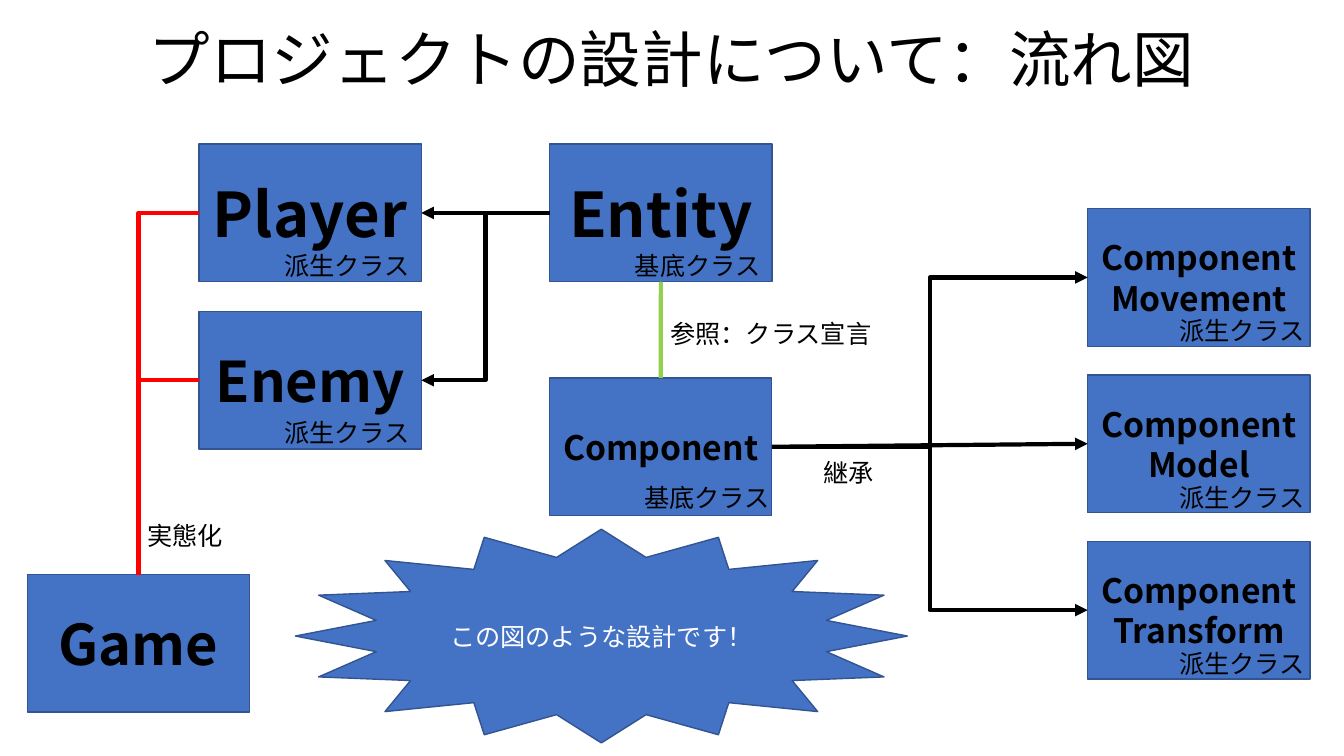
from collections import namedtuple

from lxml import etree
from pptx import Presentation
from pptx.dml.color import RGBColor
from pptx.enum.shapes import MSO_CONNECTOR, MSO_SHAPE
from pptx.enum.text import MSO_ANCHOR, PP_ALIGN
from pptx.oxml.ns import qn
from pptx.util import Inches, Pt

RECTANGLE, STAR = MSO_SHAPE.RECTANGLE, MSO_SHAPE.STAR_16_POINT
STRAIGHT, ELBOW = MSO_CONNECTOR.STRAIGHT, MSO_CONNECTOR.ELBOW
LEFT_ALIGN, CENTER = PP_ALIGN.LEFT, PP_ALIGN.CENTER
MIDDLE, UPPER = MSO_ANCHOR.MIDDLE, MSO_ANCHOR.TOP
TOP, LEFT, BOTTOM, RIGHT = range(4)

BLUE = RGBColor(0x44, 0x72, 0xC4)
NAVY = RGBColor(0x32, 0x54, 0x91)
BLACK = RGBColor(0, 0, 0)
WHITE = RGBColor(255, 255, 255)
RED = RGBColor(255, 0, 0)
GREEN = RGBColor(0x92, 0xD0, 0x50)

FONT = "Noto Sans CJK JP"
SLIDE_WIDTH, SLIDE_HEIGHT = Inches(13.33), Inches(7.5)
COLUMN, ROW = SLIDE_WIDTH / 100, SLIDE_HEIGHT / 100
CLASS_WIDTH, CLASS_HEIGHT = 16.55, 18.2
TAG_WIDTH, LABEL_HEIGHT = 10.95, 5.33
CLASS_PITCH = 22

Box = namedtuple("Box", "left top width height")


def inside(box, across, down, width, height):
    """Return a box offset from the corner of another, in columns and rows."""
    return Box(box.left + across, box.top + down, width, height)


def to_emu(box):
    """Convert grid columns and rows to slide lengths."""
    return (round(box.left * COLUMN), round(box.top * ROW),
            round(box.width * COLUMN), round(box.height * ROW))


def write_text(shape, paragraphs, size, color, bold=False,
               align=CENTER, anchor=MIDDLE, wrap=True):
    """Fill a shape with paragraphs, each given as a list of lines."""
    frame = shape.text_frame
    frame.word_wrap = wrap
    frame.vertical_anchor = anchor
    for number, lines in enumerate(paragraphs):
        paragraph = frame.add_paragraph() if number else frame.paragraphs[0]
        paragraph.alignment = align
        for position, line in enumerate(lines):
            if position:
                paragraph.add_line_break()
            run = paragraph.add_run()
            run.text = line
            font = run.font
            font.name, font.size, font.bold = FONT, Pt(size), bold
            font.color.rgb = color
            east_asian = etree.SubElement(run._r.get_or_add_rPr(), qn("a:ea"))
            east_asian.set("typeface", FONT)


def add_label(slide, box, text, size=18, align=LEFT_ALIGN, wrap=True):
    """Add a plain black text box."""
    label = slide.shapes.add_textbox(*to_emu(box))
    write_text(label, [[text]], size, BLACK, align=align, anchor=UPPER, wrap=wrap)


def add_blue_shape(slide, kind, box, paragraphs, size, color=BLACK, bold=True):
    """Add a blue outlined shape with centred text."""
    shape = slide.shapes.add_shape(kind, *to_emu(box))
    shape.shadow.inherit = False
    shape.fill.solid()
    shape.fill.fore_color.rgb = BLUE
    shape.line.color.rgb = NAVY
    shape.line.width = Pt(1)
    write_text(shape, paragraphs, size, color, bold)
    return shape


def add_class(slide, region, across, down, paragraphs, size, tag=None, tag_at=(5.6, 13.33)):
    """Add a class rectangle and its optional tag inside a region."""
    box = inside(region, across, down, CLASS_WIDTH, CLASS_HEIGHT)
    shape = add_blue_shape(slide, RECTANGLE, box, paragraphs, size)
    if tag:
        add_label(slide, inside(box, *tag_at, TAG_WIDTH, LABEL_HEIGHT), tag)
    return shape


def join(slide, kind, start, start_side, end, end_side, color, arrow=False, preset=None):
    """Join the sides of two shapes with a connector."""
    connector = slide.shapes.add_connector(kind, 0, 0, 0, 0)
    connector.begin_connect(start, start_side)
    connector.end_connect(end, end_side)
    connector.line.color.rgb = color
    connector.line.width = Pt(3)
    properties = connector._element.spPr
    if arrow:
        tail = etree.SubElement(connector.line._get_or_add_ln(), qn("a:tailEnd"))
        tail.set("type", "triangle")
    if preset:
        properties.find(qn("a:prstGeom")).set("prst", preset)
    etree.SubElement(properties, qn("a:effectLst"))


def add_entity_family(slide, region):
    """Draw Entity with the classes derived from it."""
    entity = add_class(slide, region, 26.1, 0, [["Entity"]], 44, "基底クラス")
    player = add_class(slide, region, 0, 0, [["Player"]], 44, "派生クラス")
    enemy = add_class(slide, region, 0, 22.13, [["Enemy"]], 40, "派生クラス")
    join(slide, STRAIGHT, entity, LEFT, player, RIGHT, BLACK, arrow=True)
    join(slide, ELBOW, entity, LEFT, enemy, RIGHT, BLACK, arrow=True)
    return entity, player, enemy


def add_component_family(slide, region, entity):
    """Draw Component, its derived classes and its link to Entity."""
    component = add_class(slide, region, 0, 0, [["Component"]], 24, "基底クラス", (6.3, 13.2))
    join(slide, STRAIGHT, component, TOP, entity, BOTTOM, GREEN)
    add_label(slide, inside(region, 8.25, -8.53, 16.65, LABEL_HEIGHT), "参照：クラス宣言")
    derived = [
        ([["Component"], ["Movement"]], ELBOW),
        ([["ComponentModel"]], STRAIGHT),
        ([["Component", "Transform"]], ELBOW),
    ]
    for number, (paragraphs, kind) in enumerate(derived):
        down = CLASS_PITCH * (number - 1) - 0.4
        child = add_class(slide, region, 40.05, down, paragraphs, 24, "派生クラス", (6.08, 13.5))
        join(slide, kind, component, RIGHT, child, LEFT, BLACK, arrow=True)
    add_label(slide, inside(region, 19.65, 9.87, 5.33, LABEL_HEIGHT), "継承")


def add_game(slide, region, instances):
    """Draw Game and the red lines from the classes it instantiates."""
    game = add_class(slide, region, 0, 0, [["Game"]], 40)
    add_label(slide, inside(region, 8.18, -7.87, 7.2, LABEL_HEIGHT), "実態化", wrap=False)
    for instance in instances:
        join(slide, ELBOW, instance, LEFT, game, TOP, RED, preset="bentConnector2")


def main():
    """Build the class flow slide and save it."""
    presentation = Presentation()
    presentation.slide_width, presentation.slide_height = SLIDE_WIDTH, SLIDE_HEIGHT
    slide = presentation.slides.add_slide(presentation.slide_layouts[6])
    add_label(slide, Box(9.9, 2.13, 80.18, 11.2), "プロジェクトの設計について：流れ図",
              44, CENTER, wrap=False)
    entity, player, enemy = add_entity_family(slide, Box(14.8, 19.07, 42.65, 40.33))
    add_component_family(slide, Box(40.88, 50, 56.6, 39.8), entity)
    add_game(slide, Box(2.03, 76, CLASS_WIDTH, CLASS_HEIGHT), (player, enemy))
    add_blue_shape(slide, STAR, Box(21.98, 70, 45.53, 28.27),
                   [["この図のような設計です！"]], 18, WHITE, bold=False)
    presentation.save("out.pptx")


if __name__ == "__main__":
    main()
